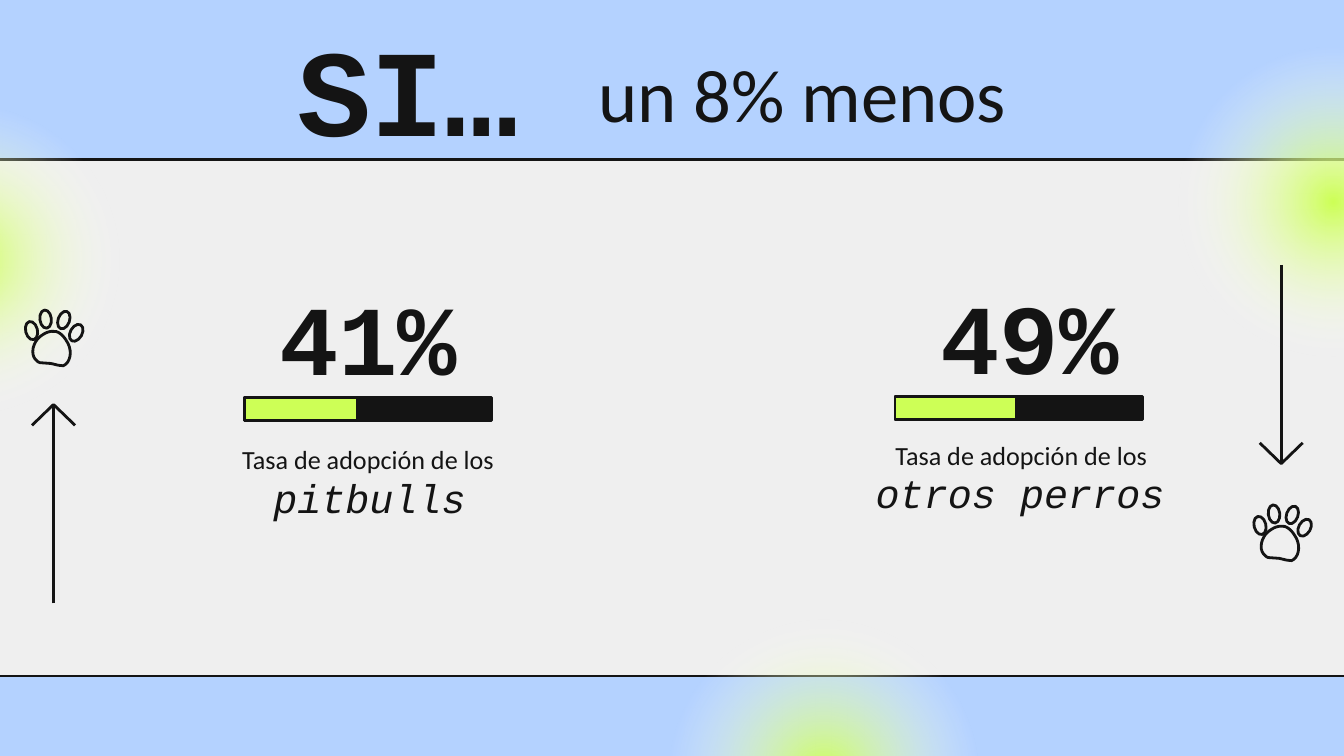
from lxml import etree
from pptx import Presentation
from pptx.dml.color import RGBColor
from pptx.enum.shapes import MSO_CONNECTOR, MSO_SHAPE
from pptx.enum.text import MSO_ANCHOR, PP_ALIGN
from pptx.oxml import parse_xml
from pptx.oxml.ns import qn
from pptx.util import Inches, Pt

RECT, OVAL = MSO_SHAPE.RECTANGLE, MSO_SHAPE.OVAL
STRAIGHT = MSO_CONNECTOR.STRAIGHT
TOP, LOW, MID = MSO_ANCHOR.TOP, MSO_ANCHOR.BOTTOM, PP_ALIGN.CENTER
HEX = {"ink": "141414", "paper": "EFEFEF", "sky": "B4D2FF",
       "lime": "CDFF56", "clear": "FFFFFF"}
RGB = {name: RGBColor.from_string(code) for name, code in HEX.items()}
SANS, MONO = "Calibri", "Courier New"

deck = Presentation()
deck.slide_width = Inches(10)
deck.slide_height = deck.slide_width * 9 // 16
slide = deck.slides.add_slide(deck.slide_layouts[6])
slide.background.fill.solid()
slide.background.fill.fore_color.rgb = RGB["paper"]
shapes = slide.shapes

# Square grid: 100 columns across the slide, rows of the same size
CELL = deck.slide_width / 100


def style(shape, fill=None, line=0):
    """Set fill and ink outline (in points) and drop the shadow."""
    shape.shadow.inherit = False
    if fill:
        shape.fill.solid()
        shape.fill.fore_color.rgb = RGB[fill]
    else:
        shape.fill.background()
    if line:
        shape.line.color.rgb = RGB["ink"]
        shape.line.width = Pt(line)
    else:
        shape.line.fill.background()


def write(text, spot, size, face, bold=False, slant=False, anchor=TOP):
    box = shapes.add_textbox(*[int(n * CELL) for n in spot])
    frame = box.text_frame
    frame.word_wrap = True
    frame.vertical_anchor = anchor
    frame.margin_left = frame.margin_right = Inches(0.1)
    frame.margin_top = frame.margin_bottom = Inches(0.1)
    para = frame.paragraphs[0]
    para.alignment = MID
    run = para.add_run()
    run.text = text
    font = run.font
    font.name, font.size = face, Pt(size)
    font.bold, font.italic = bold, slant
    font.color.rgb = RGB["ink"]


# Sky bands, each with its edge line
for top, high, edge in [(0, 11.8, 11.85), (50.3, 5.95, 50.3)]:
    band = shapes.add_shape(RECT, 0, int(top * CELL), deck.slide_width,
                            int(high * CELL))
    style(band, "sky")
    rule = shapes.add_connector(STRAIGHT, 0, int(edge * CELL),
                                deck.slide_width, int(edge * CELL))
    rule.line.color.rgb = RGB["ink"]
    rule.line.width = Pt(1.5)
    etree.SubElement(rule._element.spPr, qn("a:effectLst"))

# Lime glows fading to clear
GLOW = f"""<a:gradFill rotWithShape="1"
 xmlns:a="http://schemas.openxmlformats.org/drawingml/2006/main"><a:gsLst>
<a:gs pos="0"><a:srgbClr val="{HEX['lime']}"/></a:gs>
<a:gs pos="64000"><a:srgbClr val="{HEX['clear']}"><a:alpha val="0"/></a:srgbClr></a:gs>
<a:gs pos="100000"><a:srgbClr val="{HEX['clear']}"><a:alpha val="0"/></a:srgbClr></a:gs>
</a:gsLst><a:path path="circle">
<a:fillToRect l="50000" t="50000" r="50000" b="50000"/></a:path></a:gradFill>"""
for left, top in [(-15.3, 6.6), (48.6, 44.9), (86.5, 2.3)]:
    glow = shapes.add_shape(OVAL, int(left * CELL), int(top * CELL),
                            int(25.4 * CELL), int(25.4 * CELL))
    style(glow)
    props = glow._element.spPr
    props.replace(props.find(qn("a:noFill")), parse_xml(GLOW))

write("SI…", (8.8, 0, 43.1, 9.2), 66, MONO, bold=True)
write("un 8% menos", (23.3, 2.6, 72.8, 11), 40, SANS)

# Rate panels: figure, label, group name, bar
PANELS = [
    ("41%", (14.2, 19.6), (14.2, 32), "pitbulls", (14.3, 34.4),
     (18.2, 29.6), 8.4),
    ("49%", (63.4, 19.5), (62.8, 31.7), "otros perros", (62.7, 34),
     (66.6, 29.5), 9),
]
for rate, head, label, name, foot, bar, part in PANELS:
    write(rate, (*head, 26.4, 11), 53, MONO, bold=True)
    write("Tasa de adopción de los", (*label, 26.4, 3.6), 14, SANS)
    write(name, (*foot, 26.4, 5.4), 21.5, MONO, slant=True, anchor=LOW)
    for wide, fill in [(18.4, "ink"), (part, "lime")]:
        strip = shapes.add_shape(RECT, *[int(n * CELL) for n in
                                         (*bar, wide, 1.7)])
        style(strip, fill, 1.5)

# Paws: toes as (centre x, centre y, width, height, tilt), pad as Bézier arcs
TOES = [(0.55, 1.6, 0.88, 1.38, -14), (1.6, 0.75, 0.86, 1.36, -7),
        (2.95, 0.82, 0.86, 1.36, 20), (3.87, 1.77, 0.88, 1.36, 29)]
START = (2.1, 1.65)
ARCS = [((1.7, 1.65), (1.3, 1.9), (0.95, 2.3)),
        ((0.55, 2.9), (0.55, 3.65), (1.05, 3.95)),
        ((1.1, 4), (1.2, 4.05), (1.3, 4.05)),
        ((1.5, 4.05), (1.8, 4.05), (2, 4.05)),
        ((2.2, 4.05), (2.3, 4.1), (2.4, 4.1)),
        ((2.6, 4.15), (2.8, 4.15), (3, 4.15)),
        ((3.5, 3.9), (3.6, 3.1), (3.25, 2.5)),
        ((3, 2.1), (2.7, 1.75), (2.3, 1.65))]
STEPS = 8
curve = [START]
for b, c, d in ARCS:
    a = curve[-1]
    for step in range(1, STEPS + 1):
        t = step / STEPS
        u = 1 - t
        curve.append(tuple(
            u**3 * a[k] + 3 * u * u * t * b[k] + 3 * u * t * t * c[k]
            + t**3 * d[k] for k in (0, 1)))

for left, top in [(1.8, 23), (93.2, 37.5)]:
    spots = [((left + x) * CELL, (top + y) * CELL) for x, y in curve]
    pen = shapes.build_freeform(*spots[0])
    pen.add_line_segments(spots[1:], close=True)
    pad = pen.convert_to_shape()
    pad.rotation = 4.2
    style(pad, line=1.5)
    for x, y, wide, high, tilt in TOES:
        toe = shapes.add_shape(OVAL, int((left + x - wide / 2) * CELL),
                               int((top + y - high / 2) * CELL),
                               int(wide * CELL), int(high * CELL))
        toe.rotation = tilt
        style(toe, line=1.5)

# Open arrows: shaft and two barbs
for x, tip, way in [(3.98, 30.1, 1), (95.33, 34.5, -1)]:
    pen = shapes.build_freeform(x * CELL, (tip + 14.8 * way) * CELL)
    pen.add_line_segments([(x * CELL, tip * CELL)], close=False)
    barb = (tip + 1.55 * way) * CELL
    pen.move_to((x - 1.6) * CELL, barb)
    pen.add_line_segments([(x * CELL, tip * CELL), ((x + 1.6) * CELL, barb)],
                          close=False)
    style(pen.convert_to_shape(), line=1.5)

deck.save("out.pptx")
